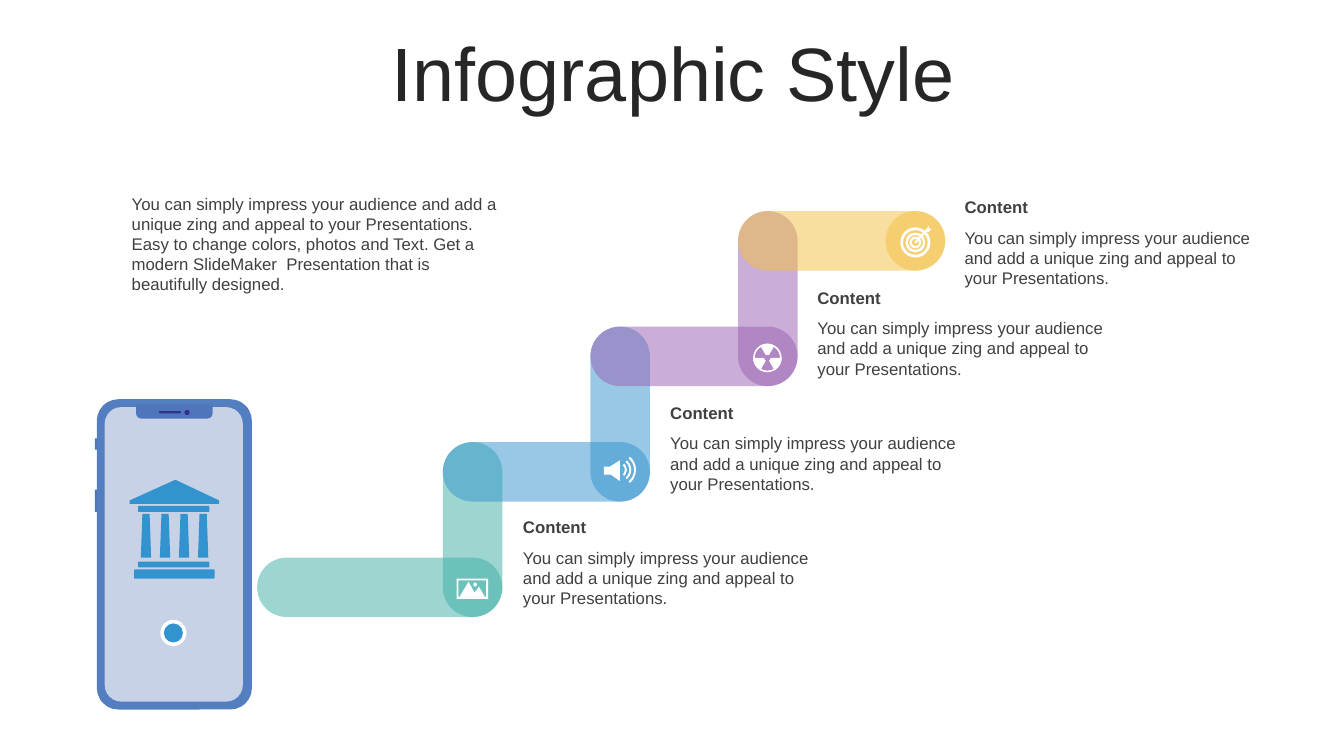
from lxml.etree import SubElement
from pptx import Presentation
from pptx.util import Cm, Pt
from pptx.dml.color import RGBColor as RGB
from pptx.enum.shapes import MSO_SHAPE as Kind
from pptx.enum.text import MSO_ANCHOR as Anchor, MSO_AUTO_SIZE as Fit, PP_ALIGN as Align
from pptx.oxml.ns import qn


class Theme:
    font = "Arial"
    head, text = Pt(54), Pt(12)
    ink, gray, white = "262626", "404040", "FFFFFF"
    teal, blue, plum, gold = "3CAFA4", "3293CF", "995FB2", "F3C040"
    case, glass, trim, lens = "537EC0", "C7D2E7", "4F76BA", "2E3192"


def paint(shape, color, alpha=100):
    shape.shadow.inherit = False
    shape.line.fill.background()
    shape.fill.solid()
    shape.fill.fore_color.rgb = RGB.from_string(color)
    if alpha < 100:
        tone = shape.fill._xPr.find(".//" + qn("a:srgbClr"))
        SubElement(tone, qn("a:alpha")).set("val", str(alpha * 1000))


def write(shape, text, size, color, bold=False, anchor=Anchor.TOP, fit=Fit.SHAPE_TO_FIT_TEXT):
    frame = shape.text_frame
    frame.word_wrap = True
    frame.auto_size = fit
    frame.vertical_anchor = anchor
    frame.text = text
    para = frame.paragraphs[0]
    para.font.name = Theme.font
    para.font.size = size
    para.font.bold = bold
    para.font.color.rgb = RGB.from_string(color)
    return para


deck = Presentation()
deck.slide_width, deck.slide_height = Cm(33.87), Cm(19.05)
slide = deck.slides.add_slide(deck.slide_layouts[5])
shapes = slide.shapes

title = shapes.title
title.left, title.top, title.width, title.height = Cm(0.89), Cm(0.94), Cm(32.16), Cm(2.01)
para = write(title, "Infographic Style", Theme.head, Theme.ink, anchor=Anchor.MIDDLE, fit=Fit.NONE)
para.alignment = Align.CENTER
para.line_spacing = 0.9

hues = [Theme.teal, Theme.blue, Theme.plum, Theme.gold]
thick, run, rise = 1.5, 3.72, 2.91
left, base = 11.16, 14.05
bars = []
for step, hue in enumerate(hues):
    x, y = left + run * step, base - rise * step
    start = 6.48 if step == 0 else x - run
    bars.append((start, y, x + thick - start, thick, hue))
    if step < 3:
        bars.append((x, y - rise, thick, rise + thick, hue))
    else:
        bars.append((x, y, thick, thick, hue))
for x, y, w, h, hue in bars:
    bar = shapes.add_shape(Kind.ROUNDED_RECTANGLE, Cm(x), Cm(y), Cm(w), Cm(h))
    bar.adjustments[0] = 0.5
    paint(bar, hue, 50)

pitch = "You can simply impress your audience and add a unique zing and appeal to your Presentations."
for step, y in enumerate([12.9, 10.01, 7.11, 4.83]):
    x = 12.93 + 3.71 * step
    label = shapes.add_textbox(Cm(x), Cm(y), Cm(7.9), Cm(0.77))
    write(label, "Content", Theme.text, Theme.gray, bold=True, anchor=Anchor.MIDDLE)
    note = shapes.add_textbox(Cm(x), Cm(y + 0.78), Cm(7.9), Cm(1.8))
    write(note, pitch, Theme.text, Theme.gray)

intro = shapes.add_textbox(Cm(3.07), Cm(4.75), Cm(9.98), Cm(2.82))
write(intro, pitch + " Easy to change colors, photos and Text. Get a modern SlideMaker  "
      "Presentation that is beautifully designed.", Theme.text, Theme.gray)

parts = [
    (Kind.RECTANGLE, 2.39, 11.05, 0.06, 0.28, Theme.trim, []),
    (Kind.RECTANGLE, 2.39, 12.34, 0.06, 0.56, Theme.trim, []),
    (Kind.ROUNDED_RECTANGLE, 2.44, 10.06, 3.91, 7.82, Theme.case, [0.14]),
    (Kind.ROUNDED_RECTANGLE, 2.64, 10.26, 3.48, 7.42, Theme.glass, [0.12]),
    (Kind.ROUND_2_SAME_RECTANGLE, 3.43, 10.19, 1.93, 0.36, Theme.trim, [0, 0.38]),
    (Kind.ROUNDED_RECTANGLE, 4.01, 10.36, 0.55, 0.06, Theme.lens, [0.5]),
    (Kind.OVAL, 4.65, 10.33, 0.13, 0.13, Theme.lens, []),
    (Kind.ROUNDED_RECTANGLE, 3.48, 12.75, 1.8, 0.15, Theme.blue, [0.15]),
    (Kind.ROUNDED_RECTANGLE, 3.48, 14.15, 1.8, 0.15, Theme.blue, [0.15]),
    (Kind.ROUNDED_RECTANGLE, 3.38, 14.35, 2.03, 0.23, Theme.blue, [0.1]),
    (Kind.OVAL, 4.04, 15.62, 0.66, 0.66, Theme.white, []),
    (Kind.OVAL, 4.13, 15.71, 0.48, 0.48, Theme.blue, []),
    (Kind.FRAME, 11.51, 14.58, 0.79, 0.51, Theme.white, [0.09]),
    (Kind.OVAL, 11.93, 14.68, 0.09, 0.1, Theme.white, []),
]
for col in range(4):
    parts.append((Kind.TRAPEZOID, 3.55 + 0.48 * col, 12.95, 0.26, 1.1, Theme.blue, [0.15]))

rings = [(19.34, 9.02, 0.32, 0.36), (23.07, 6.11, 0.09, 0.15),
         (23.07, 6.11, 0.19, 0.25), (23.07, 6.11, 0.31, 0.38)]
for x, y, near, far in rings:
    parts.append((Kind.DONUT, x - far, y - far, 2 * far, 2 * far, Theme.white,
                  [(far - near) / far / 2]))

arcs = [(15.6, 11.84, far - 0.05, far, 310, 50) for far in (0.2, 0.31, 0.43)]
arcs += [(19.34, 9.02, 0.08, 0.36, turn, turn + 60) for turn in (0, 120, 240)]
for x, y, near, far, first, last in arcs:
    parts.append((Kind.BLOCK_ARC, x - far, y - far, 2 * far, 2 * far, Theme.white,
                  [first * 0.6, last * 0.6, (far - near) / far / 2]))

for kind, x, y, w, h, hue, bends in parts:
    part = shapes.add_shape(kind, Cm(x), Cm(y), Cm(w), Cm(h))
    for spot, bend in enumerate(bends):
        part.adjustments[spot] = bend
    paint(part, hue)

roof = [(3.27, 12.61), (4.42, 12.09), (5.52, 12.61), (5.52, 12.7), (3.27, 12.7)]
hills = [(11.58, 15.04), (11.81, 14.66), (11.96, 14.94), (12.07, 14.78), (12.22, 15.04)]
horn = [(15.22, 11.76), (15.37, 11.76), (15.62, 11.6), (15.62, 12.12), (15.39, 11.96),
        (15.22, 11.96)]
dart = [(23.04, 6.1), (23.32, 5.8), (23.41, 5.69), (23.41, 5.77), (23.48, 5.77),
        (23.4, 5.85), (23.34, 5.85), (23.08, 6.14)]
paths = [(roof, Theme.blue)] + [(path, Theme.white) for path in (hills, horn, dart)]
for path, hue in paths:
    dots = [(1000 * x, 1000 * y) for x, y in path]
    pen = shapes.build_freeform(*dots[0], scale=Cm(1) / 1000)
    pen.add_line_segments(dots[1:], close=True)
    paint(pen.convert_to_shape(), hue)

deck.save("out.pptx")
